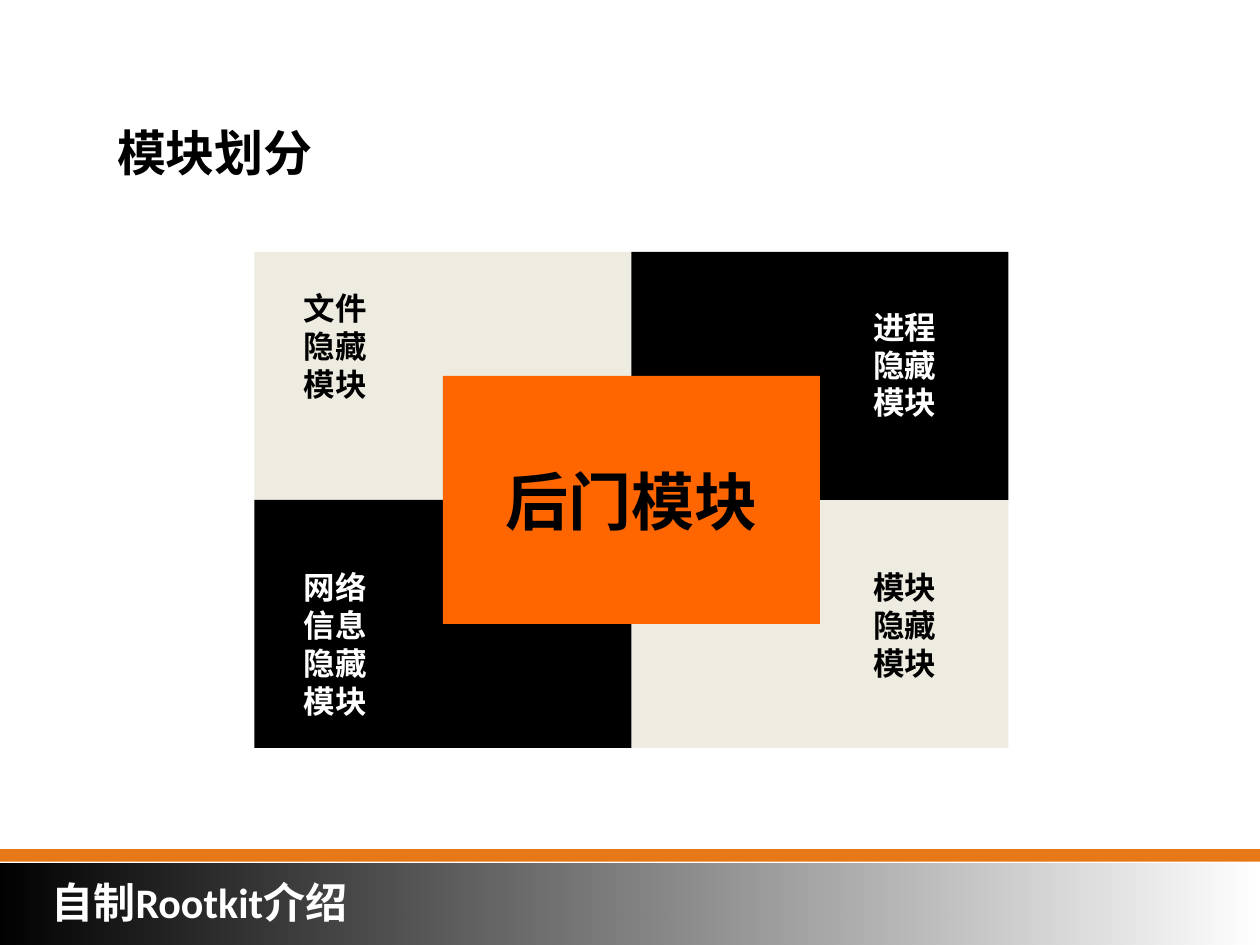
"""Build the module overview slide of a rootkit talk."""
from lxml import etree
from pptx import Presentation
from pptx.dml.color import RGBColor
from pptx.enum import shapes, text
from pptx.oxml.ns import qn
from pptx.util import Cm, Pt

BLACK = RGBColor(0x00, 0x00, 0x00)
WHITE = RGBColor(0xFF, 0xFF, 0xFF)
CREAM = RGBColor(0xEE, 0xEC, 0xE1)
ORANGE = RGBColor(0xFF, 0x66, 0x00)
STRIPE = RGBColor(0xE7, 0x78, 0x17)
LATIN_FONT = "Calibri"
ASIAN_FONT = "Noto Sans CJK SC"
TILE_WIDTH, TILE_HEIGHT = 7.6, 5
TILES_LEFT, TILES_TOP = 5.13, 5.08
LABEL_WIDTH = 2.29


def write(frame, content, size=18, color=BLACK, font=LATIN_FONT, align=None):
    """Put one bold paragraph into a text frame."""
    para = frame.paragraphs[0]
    para.alignment = align
    span = para.add_run()
    span.text = content
    span.font.size = Pt(size)
    span.font.bold = True
    span.font.color.rgb = color
    span.font.name = font
    etree.SubElement(span.font._element, qn("a:ea"), typeface=ASIAN_FONT)


def add_block(parent, left, top, width, height, color):
    """Add a flat rectangle without outline."""
    block = parent.add_shape(shapes.MSO_SHAPE.RECTANGLE,
                             Cm(left), Cm(top), Cm(width), Cm(height))
    block.shadow.inherit = False
    block.fill.solid()
    block.fill.fore_color.rgb = color
    block.line.fill.background()
    return block


def add_label(parent, content, left, top, width, height, **style):
    """Add a wrapped text box that grows with its text."""
    box = parent.add_textbox(Cm(left), Cm(top), Cm(width), Cm(height))
    box.text_frame.word_wrap = True
    box.text_frame.auto_size = text.MSO_AUTO_SIZE.SHAPE_TO_FIT_TEXT
    write(box.text_frame, content, **style)


def fade_right(block):
    """Fill a block with black that turns transparent to the right."""
    block.fill.gradient()
    block.fill.gradient_angle = 180
    for stop in block.fill.gradient_stops:
        stop.color.rgb = BLACK
        stop.position = round(stop.position)
    clear = next(block._element.iter(qn("a:srgbClr")))
    etree.SubElement(clear, qn("a:alpha"), val="0")


def add_footer(parent):
    """Add the stripe, the fading bar and the talk title."""
    add_block(parent, 0, 17.12, 25.4, 0.25, STRIPE)
    fade_right(add_block(parent, 0, 17.4, 25.4, 1.75, BLACK))
    add_label(parent, "自制Rootkit介绍", 0.79, 17.55, 8.05, 1.28,
              size=24, color=WHITE)


def add_modules(parent):
    """Add four tiles with labels around the central module."""
    for column, row, color in ((0, 0, CREAM), (1, 1, CREAM),
                               (0, 1, BLACK), (1, 0, BLACK)):
        add_block(parent, TILES_LEFT + column * TILE_WIDTH,
                  TILES_TOP + row * TILE_HEIGHT,
                  TILE_WIDTH, TILE_HEIGHT, color)
    center = add_block(parent, TILES_LEFT + TILE_WIDTH / 2,
                       TILES_TOP + TILE_HEIGHT / 2,
                       TILE_WIDTH, TILE_HEIGHT, ORANGE)
    center.text_frame.word_wrap = False
    center.text_frame.vertical_anchor = text.MSO_ANCHOR.MIDDLE
    write(center.text_frame, "后门模块", size=36, font=ASIAN_FONT,
          align=text.PP_ALIGN.CENTER)
    for content, left, top, height, color in (
            ("文件隐藏模块", 5.87, 5.71, 2.54, BLACK),
            ("模块隐藏模块", 17.35, 11.33, 2.54, BLACK),
            ("网络信息隐藏模块", 5.87, 11.33, 3.3, WHITE),
            ("进程隐藏模块", 17.35, 6.08, 2.54, WHITE)):
        add_label(parent, content, left, top, LABEL_WIDTH, height, color=color)


def main():
    """Build and save the deck."""
    deck = Presentation()
    deck.slide_width, deck.slide_height = Cm(25.4), Cm(19.05)
    page = deck.slides.add_slide(deck.slide_layouts[6])
    add_footer(page.shapes)
    add_label(page.shapes, "模块划分", 2.11, 2.34, 8.74, 1.45, size=28)
    add_modules(page.shapes.add_group_shape().shapes)
    deck.save("out.pptx")


if __name__ == "__main__":
    main()
